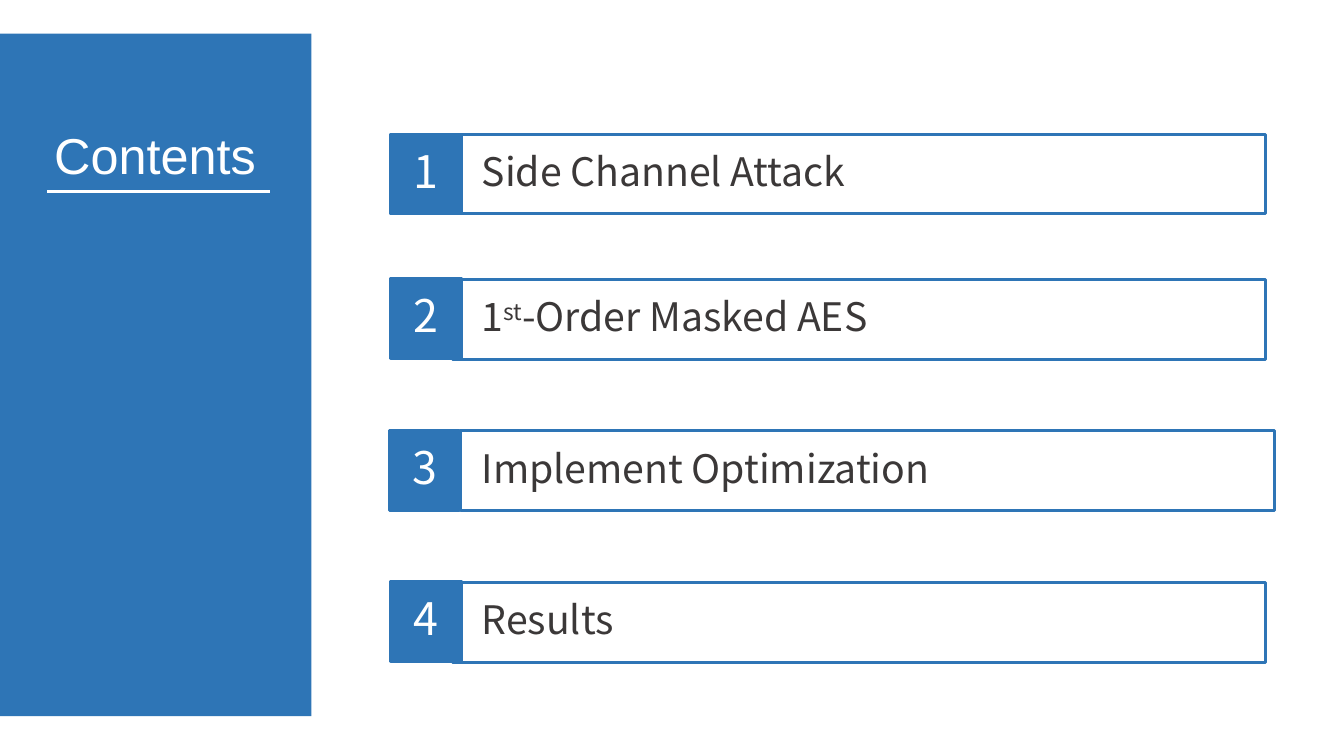
from lxml.etree import SubElement
from pptx import Presentation
from pptx.dml.color import RGBColor
from pptx.enum.shapes import MSO_CONNECTOR, MSO_SHAPE
from pptx.enum.text import MSO_ANCHOR, PP_ALIGN
from pptx.oxml.ns import qn
from pptx.util import Pt


def color(value):
    """Turn a hex string into a colour."""
    return RGBColor.from_string(value)


class ContentsSlide:
    """Hold the style and the slide being built."""

    BLUE = "2E75B6"
    WHITE = "FFFFFF"
    DARK = "3B3838"
    HEADING_FONT = "Arial"
    BODY_FONT = "Noto Sans CJK KR"
    BORDER = 2.25

    def __init__(self, slide):
        """Keep the slide to draw on."""
        self.shapes = slide.shapes

    def rectangle(self, left, top, width, height, fill=None, border=None):
        """Add a rectangle with an optional fill and border."""
        box = self.shapes.add_shape(
            MSO_SHAPE.RECTANGLE, Pt(left), Pt(top), Pt(width), Pt(height))
        box.shadow.inherit = False
        if fill:
            box.fill.solid()
            box.fill.fore_color.rgb = color(fill)
        else:
            box.fill.background()
        if border:
            box.line.color.rgb = color(border)
            box.line.width = Pt(self.BORDER)
        else:
            box.line.fill.background()
        return box

    def set_text(self, box, text, size, ink, font, align):
        """Put text in a box, with parts between carets raised."""
        frame = box.text_frame
        frame.word_wrap = True
        frame.vertical_anchor = MSO_ANCHOR.MIDDLE
        line = frame.paragraphs[0]
        line.alignment = align
        line.line_spacing = 0.9
        line.space_before = Pt(10)
        line.font.size = Pt(size)
        line.font.name = font
        line.font.color.rgb = color(ink)
        for index, part in enumerate(text.split("^")):
            run = line.add_run()
            run.text = part
            if index % 2:
                run.font._element.set("baseline", "30000")

    def label(self, left, top, width, height, text, size, ink, font, align):
        """Add a text box."""
        box = self.shapes.add_textbox(Pt(left), Pt(top), Pt(width), Pt(height))
        self.set_text(box, text, size, ink, font, align)

    def rule(self, left, right, y):
        """Add a thin horizontal white line."""
        line = self.shapes.add_connector(
            MSO_CONNECTOR.STRAIGHT, Pt(left), Pt(y), Pt(right), Pt(y))
        line.line.color.rgb = color(self.WHITE)
        line.line.width = Pt(1.5)
        SubElement(line._element.spPr, qn("a:effectLst"))

    def sidebar(self, heading):
        """Add the blue panel with its underlined heading."""
        self.rectangle(0, 24, 222.5, 487.5, fill=self.BLUE)
        self.label(16.5, 96, 188.5, 34, heading, 36, self.WHITE,
                   self.HEADING_FONT, PP_ALIGN.CENTER)
        self.rule(33.8, 193, 136.8)

    def entry(self, number, title, frame_at, badge_at, title_top):
        """Add one numbered entry of the contents."""
        height = 57
        self.rectangle(*frame_at, 581, height, border=self.BLUE)
        badge = self.rectangle(*badge_at, 50, height, self.BLUE, self.BLUE)
        self.set_text(badge, str(number), 32, self.WHITE, self.BODY_FONT,
                      PP_ALIGN.CENTER)
        self.label(337, title_top, 567, height, title, 28, self.DARK,
                   self.BODY_FONT, PP_ALIGN.LEFT)


ENTRIES = [
    ("Side Channel Attack", (323, 95.8), (279.3, 95.8), 95.8),
    ("1^st^-Order Masked AES", (323, 199.5), (279.3, 198.8), 199.5),
    ("Implement Optimization", (329.2, 307.5), (278.2, 307.5), 308),
    ("Results", (323, 416), (279.3, 415.3), 415.3),
]


def main():
    """Build and save the contents slide."""
    deck = Presentation()
    deck.slide_width, deck.slide_height = Pt(960), Pt(540)
    contents = ContentsSlide(deck.slides.add_slide(deck.slide_layouts[6]))
    contents.sidebar("Contents")
    for number, entry in enumerate(ENTRIES, start=1):
        contents.entry(number, *entry)
    deck.save("out.pptx")


if __name__ == "__main__":
    main()
